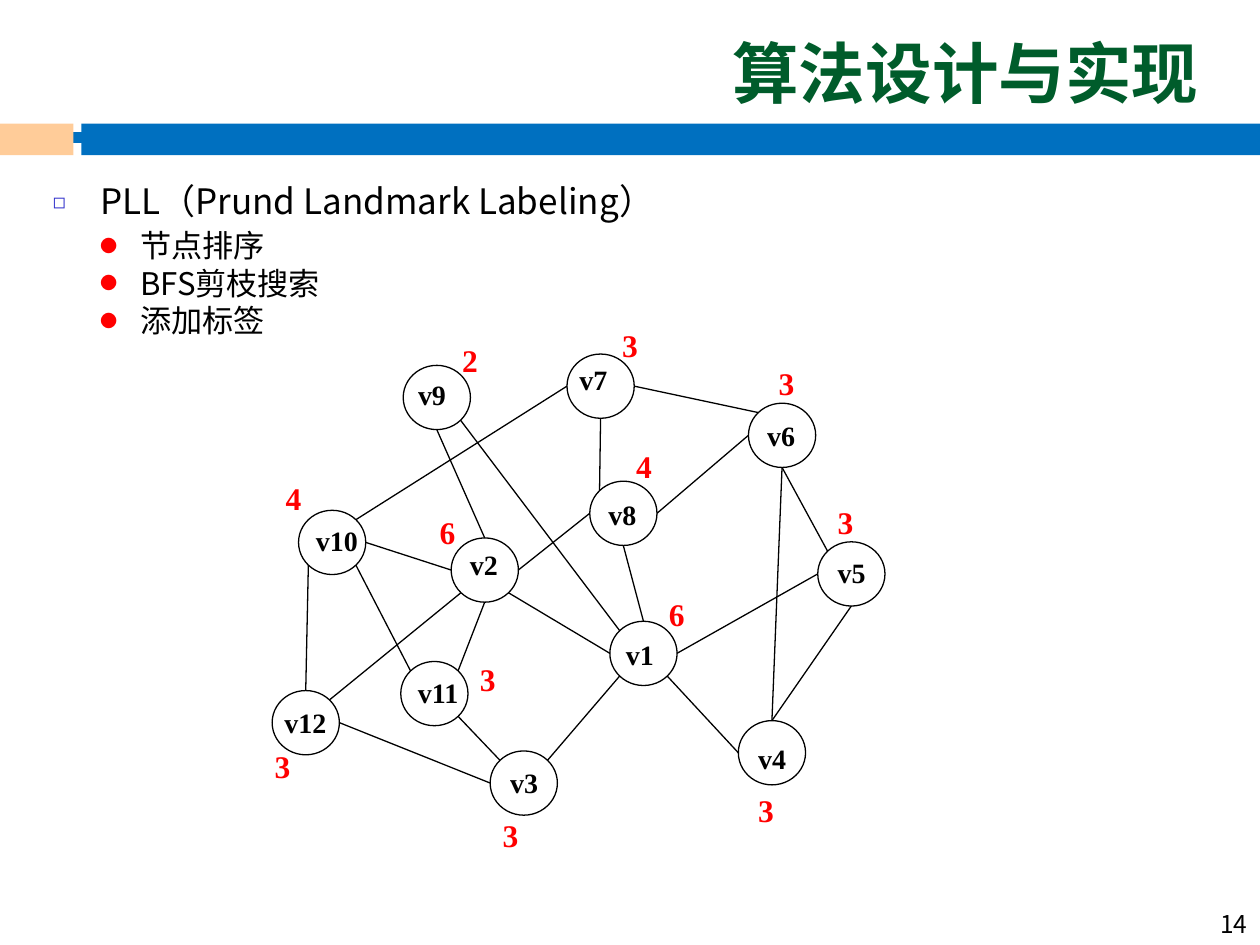
import math
from dataclasses import dataclass

import pptx
import pptx.dml.color
import pptx.enum.shapes
import pptx.enum.text
import pptx.oxml.ns
import pptx.util
from lxml import etree

Pt = pptx.util.Pt
qn = pptx.oxml.ns.qn
SHAPE = pptx.enum.shapes.MSO_SHAPE
ALIGN = pptx.enum.text.PP_ALIGN
ANCHOR = pptx.enum.text.MSO_ANCHOR
FIT = pptx.enum.text.MSO_AUTO_SIZE

SANS = "Noto Sans CJK SC"
SERIF = "Times New Roman"
NODE_W, NODE_H = 38.4, 36.7
ANGLES = {"r": 0, "br": 45, "b": 90, "bl": 135, "l": 180, "tl": 225, "t": 270, "tr": 315}


@dataclass
class Node:
    name: str
    pos: tuple[float, float]
    label: tuple[float, float]
    degree: int
    degree_pos: tuple[float, float]

    def port(self, side: str) -> tuple[float, float]:
        a = math.radians(ANGLES[side])
        x, y = self.pos
        return x + NODE_W / 2 * (1 + math.cos(a)), y + NODE_H / 2 * (1 + math.sin(a))


@dataclass
class Edge:
    start: str
    start_side: str
    end: str
    end_side: str


@dataclass
class Bullet:
    char: str
    color: str
    percent: int
    left: float
    hang: float


NODES = [
    Node("v7", (324, 202.3), (324, 203.8), 3, (348.5, 182.9)),
    Node("v8", (337, 275), (340.6, 280.8), 4, (356.4, 252)),
    Node("v1", (348.5, 355), (350.6, 360.7), 6, (375.1, 336.2)),
    Node("v6", (427.7, 230.4), (431.3, 235.4), 3, (437.8, 204.5)),
    Node("v5", (467.3, 309.6), (471.6, 313.9), 3, (471.6, 283.7)),
    Node("v4", (421.9, 411.8), (426.2, 420.5), 3, (426.2, 448.6)),
    Node("v3", (280.1, 429.1), (284.4, 434.2), 3, (280.1, 463)),
    Node("v2", (257.8, 307.4), (261.4, 309.6), 6, (244.1, 289.4)),
    Node("v9", (230.4, 208.8), (231.8, 212.4), 2, (257, 191.5)),
    Node("v10", (170.6, 291.6), (173.5, 295.9), 4, (156.2, 270)),
    Node("v12", (155.5, 394.6), (155.5, 399.6), 3, (149.8, 423.4)),
    Node("v11", (229, 378), (231.8, 382.3), 3, (267.1, 373.7)),
]

EDGES = [
    Edge("v7", "b", "v8", "tl"),
    Edge("v6", "b", "v4", "t"),
    Edge("v6", "b", "v5", "tl"),
    Edge("v8", "b", "v1", "t"),
    Edge("v1", "bl", "v3", "tr"),
    Edge("v1", "br", "v4", "l"),
    Edge("v5", "b", "v4", "t"),
    Edge("v6", "l", "v8", "r"),
    Edge("v6", "tl", "v7", "r"),
    Edge("v7", "l", "v10", "tr"),
    Edge("v9", "b", "v2", "t"),
    Edge("v1", "r", "v5", "l"),
    Edge("v2", "br", "v1", "l"),
    Edge("v9", "br", "v1", "tl"),
    Edge("v2", "l", "v10", "r"),
    Edge("v10", "br", "v11", "tl"),
    Edge("v12", "t", "v10", "bl"),
    Edge("v3", "l", "v12", "r"),
    Edge("v12", "tr", "v2", "bl"),
    Edge("v11", "tr", "v2", "b"),
    Edge("v11", "br", "v3", "tl"),
    Edge("v8", "l", "v2", "r"),
]


def rgb(value: str):
    return pptx.dml.color.RGBColor.from_string(value)


def place(sp, x: float, y: float, w: float, h: float):
    sp.left, sp.top, sp.width, sp.height = Pt(x), Pt(y), Pt(w), Pt(h)


def write(p, text, *, size, font=SANS, color="000000", bold=False, align=ALIGN.LEFT):
    p.alignment = align
    r = p.add_run()
    r.text = text
    r.font.size = Pt(size)
    r.font.name = font
    r.font.bold = bold
    r.font.color.rgb = rgb(color)
    etree.SubElement(r.font._element, qn("a:ea"), typeface=font)


def set_bullet(p, bullet: Bullet):
    pPr = p._p.get_or_add_pPr()
    pPr.set("marL", str(Pt(bullet.left)))
    pPr.set("indent", str(Pt(-bullet.hang)))
    clr = etree.SubElement(pPr, qn("a:buClr"))
    etree.SubElement(clr, qn("a:srgbClr"), val=bullet.color)
    etree.SubElement(pPr, qn("a:buSzPct"), val=str(bullet.percent * 1000))
    etree.SubElement(pPr, qn("a:buFont"), typeface=SANS)
    etree.SubElement(pPr, qn("a:buChar"), char=bullet.char)


def fill_list(sp, lines: list[str], bullet: Bullet, *, level: int, size: float, pitch: float):
    tf = sp.text_frame
    tf.auto_size = FIT.NONE
    tf.vertical_anchor = ANCHOR.TOP
    for i, line in enumerate(lines):
        p = tf.add_paragraph() if i else tf.paragraphs[0]
        p.level = level
        p.line_spacing = Pt(pitch)
        p.space_before = Pt(0)
        write(p, line, size=size)
        set_bullet(p, bullet)


def add_label(s, text: str, pos: tuple[float, float], w: float, h: float, **style):
    sp = s.shapes.add_textbox(Pt(pos[0]), Pt(pos[1]), Pt(w), Pt(h))
    tf = sp.text_frame
    tf.word_wrap = False
    tf.auto_size = FIT.SHAPE_TO_FIT_TEXT
    write(tf.paragraphs[0], text, font=SERIF, bold=True, **style)


def add_line(s, start: tuple[float, float], end: tuple[float, float], color: str, width: float):
    cn = s.shapes.add_connector(
        pptx.enum.shapes.MSO_CONNECTOR.STRAIGHT, *(Pt(v) for v in (*start, *end)))
    cn.line.color.rgb = rgb(color)
    cn.line.width = Pt(width)
    etree.SubElement(cn._element.spPr, qn("a:effectLst"))


def add_band(s, x: float, w: float, color: str):
    sp = s.shapes.add_shape(SHAPE.RECTANGLE, Pt(x), Pt(70.6), Pt(w), Pt(18))
    sp.shadow.inherit = False
    sp.fill.solid()
    sp.fill.fore_color.rgb = rgb(color)
    sp.line.fill.background()


def add_node(s, node: Node):
    sp = s.shapes.add_shape(SHAPE.OVAL, *(Pt(v) for v in (*node.pos, NODE_W, NODE_H)))
    sp.shadow.inherit = False
    sp.fill.background()
    sp.line.color.rgb = rgb("000000")
    sp.line.width = Pt(0.75)


def main():
    prs = pptx.Presentation()
    prs.slide_width, prs.slide_height = Pt(720), Pt(540)
    s = prs.slides.add_slide(prs.slide_layouts[3])
    title, heading, steps = s.placeholders

    add_line(s, (5.8, 78.5), (683.3, 78.5), "0070C0", 6)
    add_band(s, 46.5, 673.5, "0070C0")
    add_band(s, 0, 42, "FFCC99")

    place(title, 99.4, 22.3, 592.6, 41.8)
    tf = title.text_frame
    tf.auto_size = FIT.NONE
    tf.vertical_anchor = ANCHOR.BOTTOM
    tf.margin_bottom = 0
    write(tf.paragraphs[0], "算法设计与实现", size=38, color="005C2B", bold=True, align=ALIGN.RIGHT)

    sp = s.shapes.add_textbox(Pt(570), Pt(504), Pt(150), Pt(36))
    sp.text_frame.word_wrap = True
    sp.text_frame.vertical_anchor = ANCHOR.BOTTOM
    write(sp.text_frame.paragraphs[0], "14", size=14, align=ALIGN.RIGHT)

    place(heading, 23, 97.2, 694.8, 41.8)
    fill_list(heading, ["PLL（Prund Landmark Labeling）"],
              Bullet("◻", "3333CC", 60, 27, 27), level=0, size=20, pitch=25.7)
    place(steps, 14.4, 103, 694.8, 90.7)
    steps.text_frame.margin_top = Pt(26.4)
    fill_list(steps, ["节点排序", "BFS剪枝搜索", "添加标签"],
              Bullet("●", "FF0000", 55, 58.5, 22.5), level=1, size=17.8, pitch=21.4)

    for node in NODES:
        add_node(s, node)
    for node in NODES:
        add_label(s, node.name, node.label, 14.2 + 8 * len(node.name), 26.6, size=16)
    by_name = {node.name: node for node in NODES}
    for e in EDGES:
        add_line(s, by_name[e.start].port(e.start_side), by_name[e.end].port(e.end_side), "000000", 0.75)
    for node in NODES:
        add_label(s, str(node.degree), node.degree_pos, 23.4, 29, size=18, color="FF0000")

    prs.save("out.pptx")


if __name__ == "__main__":
    main()
